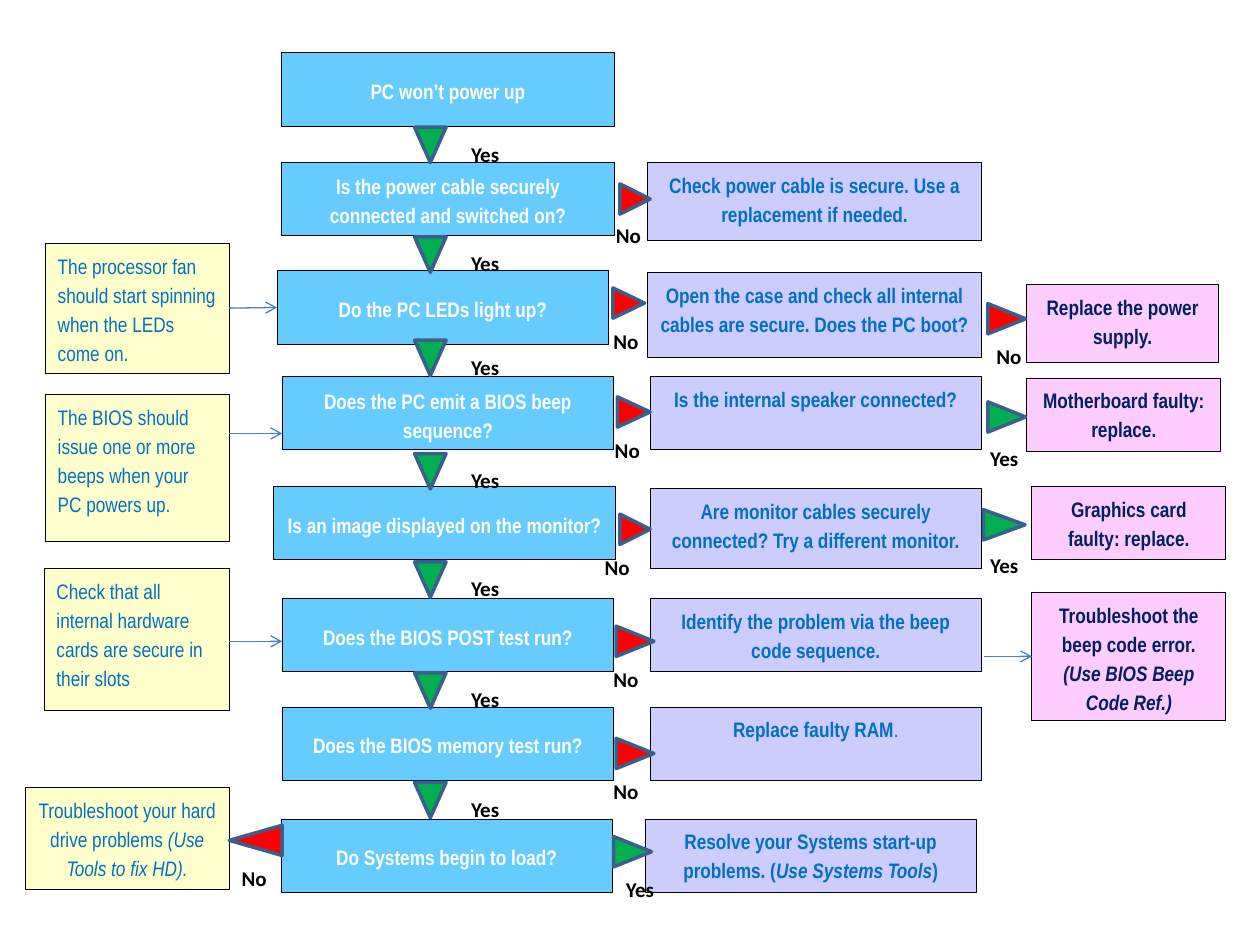
"""Build a troubleshooting flowchart for a PC that won't power up."""
import lxml.etree
import pptx
import pptx.dml.color
import pptx.enum.shapes
import pptx.enum.text
import pptx.oxml.ns
import pptx.util

Pt = pptx.util.Pt
SHAPES = pptx.enum.shapes.MSO_SHAPE
ALIGN = pptx.enum.text.PP_ALIGN
ANCHOR = pptx.enum.text.MSO_ANCHOR
BOX_HEIGHT = 41.8
LABEL_HEIGHT = 18
DOWN, RIGHT, LEFT = 180, 90, 270
GREEN, RED = "00B050", "FF0000"
TOP, LEFT_SIDE, BOTTOM, RIGHT_SIDE = range(4)

QUESTION = dict(fill="66CCFF", color="FFFFFF", bold=True, anchor=ANCHOR.MIDDLE)
NOTE = dict(fill="FFFFCC", color="0070C0", bold=False, align=ALIGN.LEFT)
ACTION = dict(fill="CCCCFF", color="0070C0", bold=True)
OUTCOME = dict(fill="FFCCFF", color="002060", bold=True)

QUESTIONS = [
    (160.6, 30.2, 190.8, "PC won’t power up"),
    (160.6, 92.9, 190.8, "Is the power cable securely connected and switched on?"),
    (158.4, 154.8, 189.4, "Do the PC LEDs light up?"),
    (161.3, 215.3, 189.4, "Does the PC emit a BIOS beep sequence?"),
    (156.2, 277.9, 195.8, "Is an image displayed on the monitor?"),
    (161.3, 342, 189.4, "Does the BIOS POST test run?"),
    (161.3, 404, 189.4, "Does the BIOS memory test run?"),
    (160.6, 468, 189.4, "Do Systems begin to load?"),
]
NOTES = [
    (25.9, 139, 105.1, 74.2, "The processor fan should start spinning when the LEDs come on."),
    (25.9, 225.4, 105.1, 84.2, "The BIOS should issue one or more beeps when your PC powers up."),
    (25.2, 324.7, 105.8, 81.4, "Check that all internal hardware cards are secure in their slots"),
]
ACTIONS = [
    (370.1, 92.9, 190.8, 44.6, ["Check power cable is secure. Use a replacement if needed."]),
    (370.1, 155.5, 190.8, 49, ["Open the case and check all internal cables are secure. "
                               "Does the PC boot?"]),
    (371.5, 215.3, 189.4, BOX_HEIGHT, ["Is the internal speaker connected?"]),
    (371.5, 279.4, 189.4, 45.4, ["Are monitor cables securely connected? "
                                 "Try a different monitor."]),
    (371.5, 342, 189.4, BOX_HEIGHT, ["Identify the problem via the beep code sequence."]),
    (371.5, 404, 189.4, BOX_HEIGHT, [[("Replace faulty RAM", {}), (".", {"bold": False})]]),
    (368.6, 468, 189.4, BOX_HEIGHT, [[("Resolve your Systems start-up problems. (", {}),
                                      ("Use Systems Tools", {"italic": True}), (")", {})]]),
]
OUTCOMES = [
    (586.8, 162.7, 109.4, 44.6, ["Replace the power supply."]),
    (586.8, 216, 110.9, BOX_HEIGHT, ["Motherboard faulty: replace."]),
    (589.7, 277.9, 110.9, BOX_HEIGHT, ["Graphics card faulty: replace."]),
    (589.7, 338.4, 110.9, 73.4, ["Troubleshoot the beep code error.",
                                 [("(Use BIOS Beep Code Ref.)", {"italic": True})]]),
]
DOWN_TOPS = [72.7, 135.4, 194.4, 259.2, 321.1, 384.5, 447.1]
SIDE_ARROWS = [
    (354.2, 105.1, 17.3, RED, "No", 344.9, 121.7),
    (350.6, 164.2, 18, RED, "No", 343.4, 182.2),
    (353.5, 226.1, 18.7, RED, "No", 344.2, 244.1),
    (354.2, 293.8, 17.3, RED, "No", 338.4, 311),
    (354.2, 355.7, 21.6, RED, "No", 343.4, 375.1),
    (354.2, 419.8, 21.6, RED, "No", 343.4, 439.2),
    (352.8, 475.9, 21.6, GREEN, "Yes", 350.6, 495.4),
    (566.6, 171.4, 21.6, RED, "No", 562.3, 190.8),
    (566.6, 227.5, 21.6, GREEN, "Yes", 558.7, 249.1),
    (565.2, 288, 23.8, GREEN, "Yes", 558.7, 310.3),
]


def rgb(value):
    """Return the colour for a hex string."""
    return pptx.dml.color.RGBColor.from_string(value)


def style_shape(shape, fill, line, width):
    """Give a shape a flat fill and an outline."""
    shape.shadow.inherit = False
    shape.fill.solid()
    shape.fill.fore_color.rgb = rgb(fill)
    shape.line.color.rgb = rgb(line)
    shape.line.width = Pt(width)


def style_paragraph(paragraph, name, color, bold, align):
    """Set the shared type size and spacing with the given font."""
    paragraph.alignment = align
    paragraph.line_spacing = 1.15
    paragraph.font.name = name
    paragraph.font.size = Pt(12)
    paragraph.font.bold = bold
    paragraph.font.color.rgb = rgb(color)


def add_box(slide, frame, paragraphs, fill, color, bold, align=ALIGN.CENTER, anchor=ANCHOR.TOP):
    """Add an outlined rectangle holding paragraphs of plain or mixed runs."""
    shape = slide.shapes.add_shape(SHAPES.RECTANGLE, *map(Pt, frame))
    style_shape(shape, fill, "000000", 0.5)
    text_frame = shape.text_frame
    text_frame.word_wrap = True
    text_frame.vertical_anchor = anchor
    for index, content in enumerate(paragraphs):
        paragraph = text_frame.add_paragraph() if index else text_frame.paragraphs[0]
        style_paragraph(paragraph, "Arial Narrow", color, bold, align)
        for text, overrides in [(content, {})] if isinstance(content, str) else content:
            run = paragraph.add_run()
            run.text = text
            for attribute, value in overrides.items():
                setattr(run.font, attribute, value)
    return shape


def add_triangle(slide, left, top, width, height, direction, fill):
    """Add a triangle turned to point in a direction."""
    shape = slide.shapes.add_shape(SHAPES.ISOSCELES_TRIANGLE, Pt(left), Pt(top),
                                   Pt(width), Pt(height))
    shape.rotation = direction
    style_shape(shape, fill, "3A5F8C", 2)


def add_label(slide, left, top, width, text):
    """Add a bold answer label."""
    text_frame = slide.shapes.add_textbox(Pt(left), Pt(top), Pt(width),
                                          Pt(LABEL_HEIGHT)).text_frame
    text_frame.word_wrap = True
    paragraph = text_frame.paragraphs[0]
    paragraph.text = text
    style_paragraph(paragraph, "Calibri", "000000", True, ALIGN.LEFT)
    paragraph.space_after = Pt(10)


def add_arrow(slide, start_x, end_x, y):
    """Add a thin horizontal arrow and return it."""
    connector = slide.shapes.add_connector(pptx.enum.shapes.MSO_CONNECTOR.STRAIGHT,
                                           Pt(start_x), Pt(y), Pt(end_x), Pt(y))
    connector.line.color.rgb = rgb("4B7EBC")
    connector.line.width = Pt(0.75)
    lxml.etree.SubElement(connector.line._get_or_add_ln(),
                          pptx.oxml.ns.qn("a:tailEnd"), type="arrow")
    lxml.etree.SubElement(connector._element.spPr, pptx.oxml.ns.qn("a:effectLst"))
    return connector


def main():
    """Build and save the flowchart."""
    presentation = pptx.Presentation()
    presentation.slide_width, presentation.slide_height = Pt(720), Pt(540)
    slide = presentation.slides.add_slide(presentation.slide_layouts[6])

    questions = [add_box(slide, (left, top, width, BOX_HEIGHT), [text], **QUESTION)
                 for left, top, width, text in QUESTIONS]
    notes = [add_box(slide, frame, [text], **NOTE) for *frame, text in NOTES]
    add_box(slide, (14.4, 450, 116.6, 58.3),
            [[("Troubleshoot your hard drive problems ", {}),
              ("(Use Tools to fix HD).", {"italic": True})]],
            **{**NOTE, "align": ALIGN.CENTER})
    for *frame, paragraphs in ACTIONS:
        add_box(slide, frame, paragraphs, **ACTION)
    outcomes = [add_box(slide, frame, paragraphs, **OUTCOME) for *frame, paragraphs in OUTCOMES]

    for top in DOWN_TOPS:
        add_triangle(slide, 236.9, top, 18, 20.2, DOWN, GREEN)
        add_label(slide, 262.1, top + 2.2, 62.6, "Yes")
    for left, top, height, fill, answer, label_left, label_top in SIDE_ARROWS:
        add_triangle(slide, left, top, 17.3, height, RIGHT, fill)
        add_label(slide, label_left, label_top, 31.7, answer)

    add_arrow(slide, 562.3, 589.7, 375.1).end_connect(outcomes[3], LEFT_SIDE)
    fan_arrow = add_arrow(slide, 131, 158.4, 176)
    fan_arrow.begin_connect(notes[0], RIGHT_SIDE)
    fan_arrow.end_connect(questions[2], LEFT_SIDE)
    for y in (247.7, 366.5):
        add_arrow(slide, 131, 161.3, y)
    add_triangle(slide, 137.5, 465.1, 17.3, 30.2, LEFT, RED)
    add_label(slide, 131, 488.9, 31.7, "No")
    presentation.save("out.pptx")


if __name__ == "__main__":
    main()
